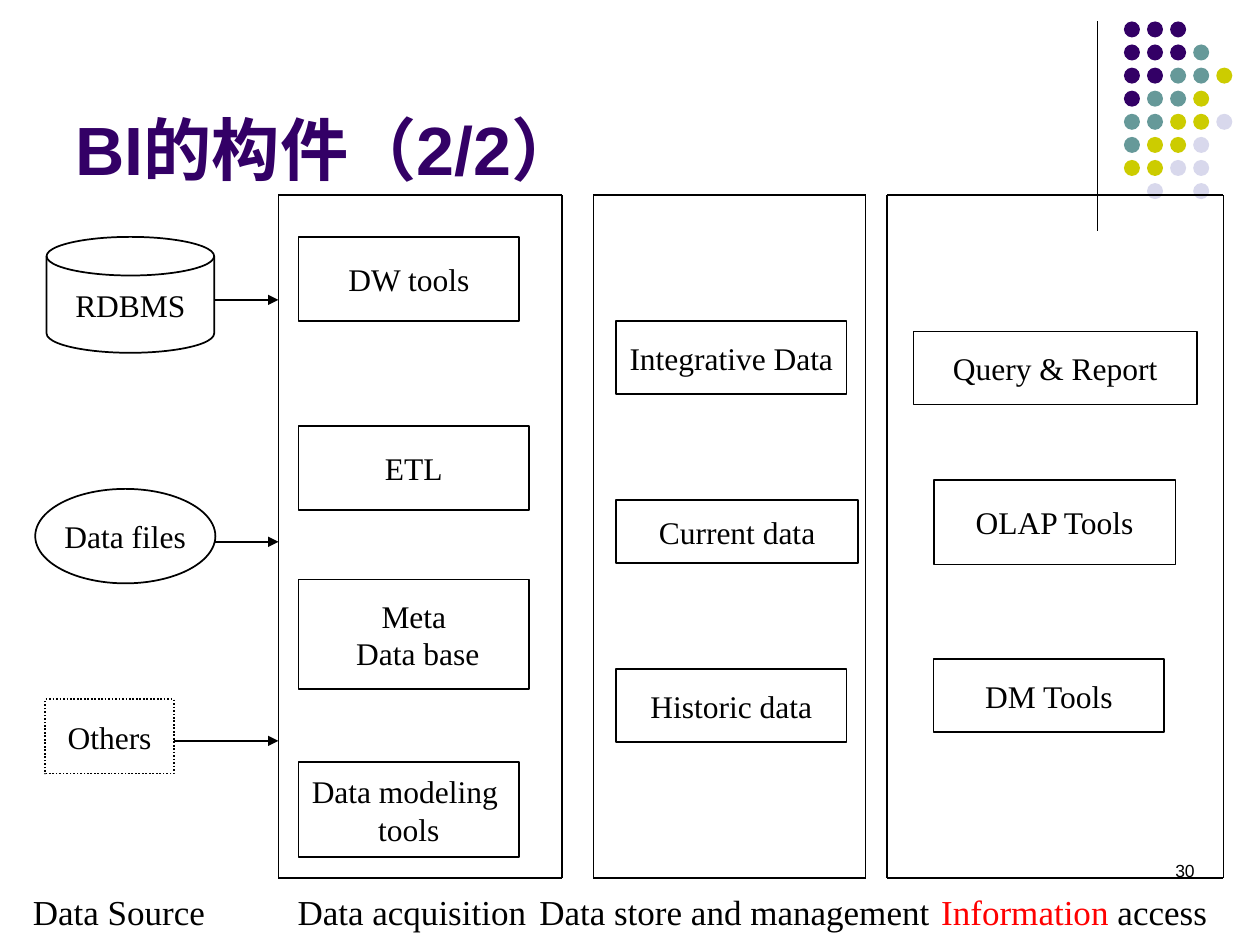
from lxml.etree import SubElement
from pptx import Presentation
from pptx.dml.color import RGBColor
from pptx.enum.dml import MSO_LINE
from pptx.enum.shapes import MSO_CONNECTOR, MSO_SHAPE as SHAPE
from pptx.enum.text import MSO_ANCHOR as ANCHOR, PP_ALIGN as ALIGN
from pptx.oxml.ns import qn
from pptx.util import Inches, Pt

BLACK = RGBColor(0x00, 0x00, 0x00)
RED = RGBColor(0xFF, 0x00, 0x00)
PURPLE = RGBColor(0x33, 0x00, 0x66)
TEAL = RGBColor(0x66, 0x99, 0x99)
LIME = RGBColor(0xCC, 0xCC, 0x00)
LILAC = RGBColor(0xD8, 0xD8, 0xEC)

SERIF, SANS = "Times New Roman", "Arial"
COLS, ROWS = 100, 75
UNIT = Inches(0.1)

DOT_COLORS = {"P": PURPLE, "T": TEAL, "Y": LIME, "L": LILAC}
DOT_ROWS = ["PPP", "PPPT", "PPTTY", "PTTY", "TTYYL", "TYYL", "YYLL", ".L.L"]

SOURCES = [
    ("RDBMS", SHAPE.FLOWCHART_MAGNETIC_DISK, (0.9, 3.3, 13.3, 9.2), 8.3),
    ("Data files", SHAPE.OVAL, (0, 23.3, 14.3, 7.5), 27.5),
    ("Others", SHAPE.RECTANGLE, (0.8, 40, 10.2, 5.9), 43.3),
]
STAGES = [
    ((22.1, 15.5, 22.5, 54.2), [
        ("DW tools", (1.6, 3.3, 17.5, 6.7)),
        ("ETL", (1.6, 18.3, 18.3, 6.7)),
        ("Meta\n Data base", (1.6, 30.5, 18.3, 8.7)),
        ("Data modeling \ntools", (1.6, 45, 17.5, 7.5)),
    ]),
    ((47.1, 15.5, 21.6, 54.2), [
        ("Integrative Data", (1.8, 10, 18.3, 5.8)),
        ("Current data", (1.8, 24.2, 19.2, 5)),
        ("Historic data", (1.8, 37.6, 18.3, 5.8)),
    ]),
    ((70.4, 15.5, 26.7, 54.2), [
        ("Query & Report", (2.1, 10.8, 22.5, 5.8)),
        ("OLAP Tools", (3.7, 22.6, 19.2, 6.7)),
        ("DM Tools", (3.7, 36.8, 18.3, 5.8)),
    ]),
]
CAPTIONS = [
    (0.8, 17.3, [("Data Source", BLACK)]),
    (18.5, 28.4, [("Data acquisition", BLACK)]),
    (39.8, 37, [("Data store and management", BLACK)]),
    (70.8, 28.9, [("Information", RED), (" access", BLACK)]),
]


def grid(*values):
    """Turn grid columns and rows into slide lengths."""
    return [round(v * UNIT) for v in values]


def inside(box, part):
    """Shift a part by the corner of its box."""
    return part[0] + box[0], part[1] + box[1], part[2], part[3]


def style(run, size, font, color, bold=False):
    """Format one run."""
    run.font.size, run.font.name, run.font.bold = Pt(size), font, bold
    run.font.color.rgb = color


def add_text(s, box, runs, size, font, align, anchor=ANCHOR.TOP, bold=False):
    """Add a one-paragraph text box made of coloured runs."""
    tf = s.shapes.add_textbox(*grid(*box)).text_frame
    tf.word_wrap = True
    tf.vertical_anchor = anchor
    p = tf.paragraphs[0]
    p.alignment = align
    for text, color in runs:
        r = p.add_run()
        r.text = text
        style(r, size, font, color, bold)


def add_node(s, box, text, kind=SHAPE.RECTANGLE):
    """Add an outlined shape with centred text."""
    sp = s.shapes.add_shape(kind, *grid(*box))
    sp.shadow.inherit = False
    sp.fill.background()
    sp.line.color.rgb = BLACK
    sp.line.width = Pt(1)
    tf = sp.text_frame
    tf.word_wrap = False
    tf.vertical_anchor = ANCHOR.MIDDLE
    tf.text = text
    for p in tf.paragraphs:
        p.alignment = ALIGN.CENTER
        for r in p.runs:
            style(r, 18, SERIF, BLACK)
    return sp


def add_line(s, start, end, width=1, arrow=False):
    """Add a straight black line, with an arrowhead if asked."""
    line = s.shapes.add_connector(MSO_CONNECTOR.STRAIGHT, *grid(*start, *end))
    line.line.color.rgb = BLACK
    line.line.width = Pt(width)
    if arrow:
        SubElement(line.line._get_or_add_ln(), qn("a:tailEnd"), type="triangle")
    SubElement(line._element.spPr, qn("a:effectLst"))


def add_dots(s, box):
    """Fill the box with the dot ornament and the rule at its left."""
    x, y, w, h = box
    add_line(s, (x - 2.1, y), (x - 2.1, y + 16.6), 0.75)
    dot = 1.27
    dx, dy = (w - dot) / 4, (h - dot) / (len(DOT_ROWS) - 1)
    for row, codes in enumerate(DOT_ROWS):
        for col, code in enumerate(codes):
            if code in DOT_COLORS:
                sp = s.shapes.add_shape(
                    SHAPE.OVAL, *grid(x + col * dx, y + row * dy, dot, dot))
                sp.shadow.inherit = False
                sp.fill.solid()
                sp.fill.fore_color.rgb = DOT_COLORS[code]
                sp.line.fill.background()


def add_sources(s, box):
    """Place the data sources and their arrows to the box's right edge."""
    x, y, w, _ = box
    for text, kind, part, level in SOURCES:
        sp = add_node(s, inside(box, part), text, kind)
        if text == "Others":
            sp.line.dash_style = MSO_LINE.ROUND_DOT
        add_line(s, (x + part[0] + part[2], y + level), (x + w, y + level), arrow=True)


def add_stage(s, box, nodes):
    """Frame the box with four lines and place its nodes."""
    x, y, w, h = box
    for row in (y, y + h):
        add_line(s, (x, row), (x + w, row))
    for col in (x, x + w):
        add_line(s, (col, y), (col, y + h))
    for text, part in nodes:
        add_node(s, inside(box, part), text)


def add_captions(s, box):
    """Place the column captions along the box."""
    for left, width, runs in CAPTIONS:
        part = inside(box, (left, 0, width, box[3]))
        add_text(s, part, runs, 20, SERIF, ALIGN.CENTER)


def main():
    """Build and save the slide."""
    prs = Presentation()
    prs.slide_width, prs.slide_height = grid(COLS, ROWS)
    s = prs.slides.add_slide(prs.slide_layouts[6])
    add_dots(s, (89.2, 1.7, 8.6, 14.1))
    add_text(s, (72.5, 67.8, 23.3, 5), [("30", BLACK)], 10, SANS, ALIGN.RIGHT)
    add_text(s, (5, 1.3, 82.5, 14.2), [("BI的构件（2/2）", PURPLE)], 39, SANS,
             ALIGN.LEFT, ANCHOR.BOTTOM, True)
    add_sources(s, (2.8, 15.5, 19.3, 54.2))
    for box, nodes in STAGES:
        add_stage(s, box, nodes)
    add_captions(s, (0, 70.2, COLS, 4.4))
    prs.save("out.pptx")


if __name__ == "__main__":
    main()
